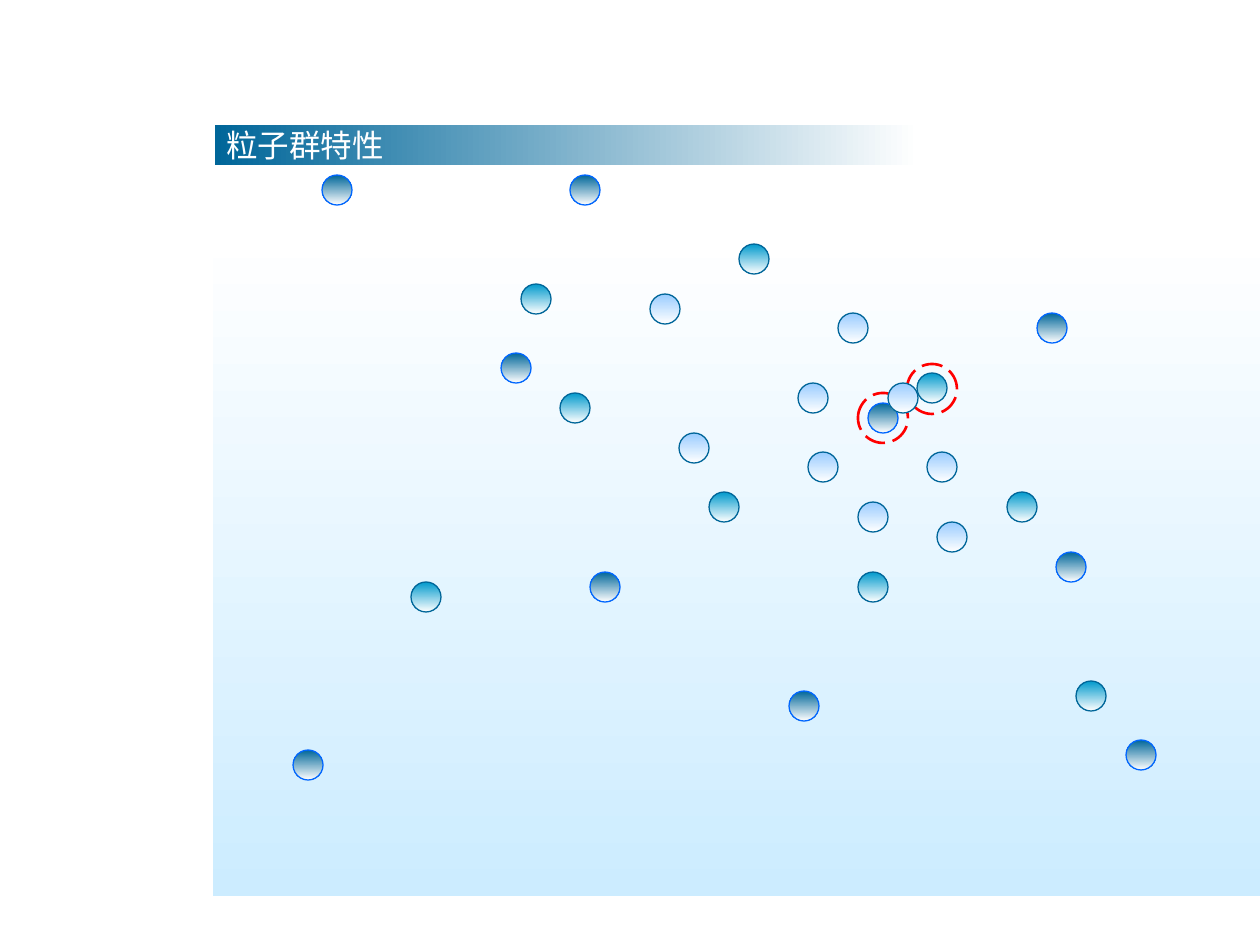
from dataclasses import dataclass

from pptx import Presentation
from pptx.dml.color import RGBColor
from pptx.enum.dml import MSO_LINE
from pptx.enum.shapes import MSO_SHAPE
from pptx.enum.text import MSO_ANCHOR, MSO_AUTO_SIZE, PP_ALIGN
from pptx.util import Emu, Inches, Pt

EMU_PER_PX = 914400 / 126
PARTICLE_SIZE = 30
RING_SIZE = 50
DOWNWARD, RIGHTWARD = 270, 0


@dataclass(frozen=True)
class Swarm:
    """Particles of one colour, given by their centres in px."""
    fill: str
    outline: str
    centres: tuple[tuple[int, int], ...]
    ringed: tuple[tuple[int, int], ...] = ()


SWARMS = (
    Swarm("006699", "0066FF",
          ((337, 190), (585, 190), (605, 587), (804, 706), (1071, 567),
           (883, 418), (308, 765), (516, 368), (1052, 328), (1141, 755)),
          ringed=((883, 418),)),
    Swarm("0099CC", "006699",
          ((536, 299), (426, 597), (724, 507), (873, 587), (575, 408),
           (754, 259), (932, 388), (1022, 507), (1091, 696)),
          ringed=((932, 389),)),
    Swarm("99CCFF", "006699",
          ((665, 309), (853, 328), (694, 448), (942, 467), (903, 398),
           (952, 537), (813, 398), (873, 517), (823, 467))),
)


def px(length: float) -> Emu:
    return Emu(round(length * EMU_PER_PX))


def rgb(hex_colour: str) -> RGBColor:
    return RGBColor.from_string(hex_colour)


def fill_gradient(shape, start: str, end: str, angle: int) -> None:
    shape.fill.gradient()
    shape.fill.gradient_angle = angle
    for stop, colour in zip(shape.fill.gradient_stops, (start, end)):
        stop.color.rgb = rgb(colour)


def add_circle(slide, centre: tuple[int, int], size: int, outline: str, weight: float):
    x, y = centre
    circle = slide.shapes.add_shape(
        MSO_SHAPE.OVAL, px(x - size / 2), px(y - size / 2), px(size), px(size))
    circle.shadow.inherit = False
    circle.line.color.rgb = rgb(outline)
    circle.line.width = Pt(weight)
    return circle


def add_swarm(slide, swarm: Swarm) -> None:
    for centre in swarm.centres:
        particle = add_circle(slide, centre, PARTICLE_SIZE, swarm.outline, 0.75)
        fill_gradient(particle, swarm.fill, "FFFFFF", DOWNWARD)
    for centre in swarm.ringed:
        ring = add_circle(slide, centre, RING_SIZE, "FF0000", 1.5)
        ring.fill.background()
        ring.line.dash_style = MSO_LINE.LONG_DASH


def add_search_space(slide) -> None:
    space = slide.shapes.add_shape(
        MSO_SHAPE.RECTANGLE, px(213), px(231), px(1047), px(665))
    space.shadow.inherit = False
    space.line.fill.background()
    fill_gradient(space, "FFFFFF", "CCECFF", DOWNWARD)


def set_heading(slide, text: str) -> None:
    heading = slide.shapes.title
    heading.left, heading.top = px(215), px(125)
    heading.width, heading.height = px(704), px(40)
    fill_gradient(heading, "006699", "FFFFFF", RIGHTWARD)

    frame = heading.text_frame
    frame.auto_size = MSO_AUTO_SIZE.NONE
    frame.word_wrap = True
    frame.vertical_anchor = MSO_ANCHOR.MIDDLE
    frame.margin_left = px(11)
    frame.margin_top = frame.margin_bottom = 0

    paragraph = frame.paragraphs[0]
    paragraph.alignment = PP_ALIGN.LEFT
    run = paragraph.add_run()
    run.text = text
    run.font.name = "Montserrat"
    run.font.size = Pt(18)
    run.font.color.rgb = rgb("FFFFFF")


def main() -> None:
    deck = Presentation()
    deck.slide_width, deck.slide_height = Inches(10), Inches(7.5)
    slide = deck.slides.add_slide(deck.slide_layouts.get_by_name("Title Only"))

    # Heading bar
    set_heading(slide, "粒子群特性")

    # Search space with its particles
    add_search_space(slide)
    for swarm in SWARMS:
        add_swarm(slide, swarm)

    deck.save("out.pptx")


if __name__ == "__main__":
    main()
